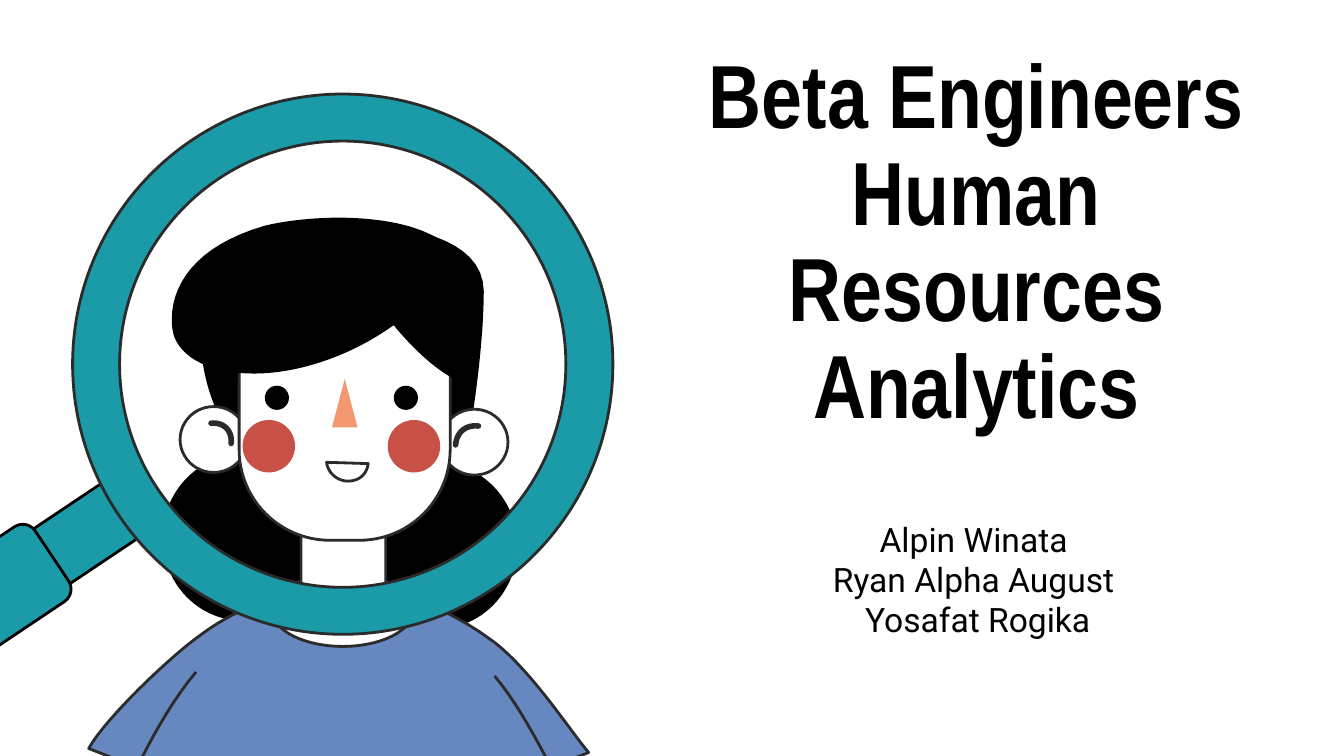
from dataclasses import dataclass

from pptx import Presentation
from pptx.dml.color import RGBColor
from pptx.enum.shapes import MSO_SHAPE
from pptx.enum.text import MSO_ANCHOR, PP_ALIGN
from pptx.oxml.ns import qn
from pptx.util import Inches, Pt

OVAL = MSO_SHAPE.OVAL
RECT = MSO_SHAPE.RECTANGLE
ROUNDED = MSO_SHAPE.ROUNDED_RECTANGLE
DONUT = MSO_SHAPE.DONUT
TRIANGLE = MSO_SHAPE.ISOSCELES_TRIANGLE
CENTER = PP_ALIGN.CENTER
TOP, BOTTOM = MSO_ANCHOR.TOP, MSO_ANCHOR.BOTTOM
CURVE_STEPS = 16


@dataclass(frozen=True)
class Theme:
    """Colours, fonts and sizes of the deck."""
    ink: str = "000000"
    outline: str = "2B2B2B"
    white: str = "FFFFFF"
    teal: str = "1B9BA8"
    shirt: str = "6687C0"
    nose: str = "F39871"
    cheek: str = "C75146"
    title_font: str = "Arial Narrow"
    body_font: str = "Roboto"
    title_size: float = 48
    body_size: float = 18
    stroke: float = 1.5
    ear_stroke: float = 3


THEME = Theme()


def paint(shape, fill=None, line=None, width=THEME.stroke):
    """Set fill and line, and drop the shadow."""
    shape.shadow.inherit = False
    if fill:
        shape.fill.solid()
        shape.fill.fore_color.rgb = RGBColor.from_string(fill)
    else:
        shape.fill.background()
    if line:
        shape.line.color.rgb = RGBColor.from_string(line)
        shape.line.width = Pt(width)
    else:
        shape.line.fill.background()
    return shape


def add_preset(page, kind, box, fill, line=None, adjust=None, rotation=0):
    """Add a painted preset shape in a box of inches."""
    shape = page.shapes.add_shape(kind, *map(Inches, box))
    if adjust is not None:
        shape.adjustments[0] = adjust
    shape.rotation = rotation
    return paint(shape, fill, line)


def add_disc(page, center, width, height, fill, line=None):
    """Add an ellipse around a centre."""
    x, y = center
    box = (x - width / 2, y - height / 2, width, height)
    return add_preset(page, OVAL, box, fill, line)


def trace(start, segments):
    """Turn line (2 numbers) and cubic curve (6 numbers) segments into points."""
    points = [start]
    for segment in segments:
        if len(segment) == 2:
            points.append(segment)
            continue
        x0, y0 = points[-1]
        x1, y1, x2, y2, x3, y3 = segment
        for step in range(1, CURVE_STEPS + 1):
            t = step / CURVE_STEPS
            u = 1 - t
            a, b, c, d = u ** 3, 3 * u * u * t, 3 * u * t * t, t ** 3
            points.append((a * x0 + b * x1 + c * x2 + d * x3,
                           a * y0 + b * y1 + c * y2 + d * y3))
    return points


def add_path(page, origin, start, segments, fill=None, line=None,
             width=THEME.stroke):
    """Add an outline, closed when it has a fill."""
    left, top = origin
    points = [(Inches(left + x), Inches(top + y))
              for x, y in trace(start, segments)]
    builder = page.shapes.build_freeform(*points[0])
    builder.add_line_segments(points[1:], close=bool(fill))
    return paint(builder.convert_to_shape(), fill, line, width)


def add_text(page, box, lines, font, size, anchor, bold=False, spacing=None):
    """Add centred paragraphs in a box of inches."""
    frame = page.shapes.add_textbox(*map(Inches, box)).text_frame
    frame.word_wrap = True
    frame.vertical_anchor = anchor
    frame.margin_left = frame.margin_right = Inches(0.1)
    frame.margin_top = frame.margin_bottom = Inches(0.1)
    for index, line in enumerate(lines):
        para = frame.add_paragraph() if index else frame.paragraphs[0]
        para.text = line
        para.alignment = CENTER
        para.line_spacing = spacing
        para.font.name = font
        para.font.size = Pt(size)
        para.font.bold = bold
        para.font.color.rgb = RGBColor.from_string(THEME.ink)


def draw_handle(page, left, top):
    """Draw the shaft and the grip of the magnifier."""
    add_preset(page, RECT, (left + 0.31, top + 3.67, 0.82, 0.49),
               THEME.teal, THEME.ink, rotation=326.2)
    add_preset(page, ROUNDED, (left - 0.56, top + 3.81, 0.67, 1.47),
               THEME.teal, THEME.ink, adjust=0.167, rotation=56.2)


def draw_body(page, left, top):
    """Draw the long hair, the shirt and the neck."""
    origin = (left, top)
    for x, y in ((3.25, 4.06), (1.81, 4)):
        add_disc(page, (left + x, top + y), 1.2, 1.24, THEME.ink)
    add_path(page, origin, (4.38, 5.6), [
        (4.23, 5.42, 3.96, 5, 3.68, 4.78), (3.09, 4.34, 2.56, 4.35, 2.56, 4.35),
        (2.16, 4.38, 1.78, 4.51, 1.5, 4.72), (1.27, 4.88, 0.78, 5.35, 0.66, 5.57),
        (0.97, 5.69), (4.14, 5.69)], THEME.shirt, THEME.outline)
    for start, crease in (((1.46, 5), (1.3, 5.19, 1.16, 5.43, 1.03, 5.69)),
                          ((3.68, 5.03), (3.83, 5.21, 3.96, 5.44, 4.09, 5.69))):
        add_path(page, origin, start, [crease], line=THEME.outline)
    add_disc(page, (left + 2.55, top + 4.54), 1.05, 0.54,
             THEME.white, THEME.outline)
    add_preset(page, ROUNDED, (left + 2.24, top + 3.72, 0.63, 0.86),
               THEME.white, THEME.outline, adjust=0.21)


def draw_head(page, left, top):
    """Draw the back hair, the ears, the face and the fringe."""
    origin = (left, top)
    add_path(page, origin, (2.42, 1.66), [
        (2.13, 1.66, 1.57, 1.72, 1.5, 2.33), (1.45, 2.8, 1.65, 3.13, 1.65, 3.13),
        (1.79, 3.38, 2.22, 3.45, 2.63, 3.45), (3.06, 3.45, 3.47, 3.37, 3.48, 3.33),
        (3.49, 3.26, 3.6, 2.63, 3.6, 2.17), (3.6, 1.75, 2.97, 1.67, 2.58, 1.66)],
        THEME.ink)
    ears = (((1.59, 3.27), (1.57, 3.15), (1.66, 3.14, 1.73, 3.2, 1.72, 3.3)),
            ((3.53, 3.29), (3.56, 3.17), (3.47, 3.16, 3.4, 3.21, 3.39, 3.31)))
    for (x, y), start, fold in ears:
        add_disc(page, (left + x, top + y), 0.5, 0.49,
                 THEME.white, THEME.outline)
        mark = add_path(page, origin, start, [fold], line=THEME.outline,
                        width=THEME.ear_stroke)
        mark.element.spPr.find(qn("a:ln")).set("cap", "rnd")
    add_preset(page, ROUNDED, (left + 1.78, top + 1.94, 1.57, 2.08),
               THEME.white, THEME.outline, adjust=0.43)
    add_preset(page, TRIANGLE, (left + 2.47, top + 2.82, 0.19, 0.36), THEME.nose)
    for x in (2, 3.08):
        add_disc(page, (left + x, top + 3.32), 0.39, 0.39, THEME.cheek)
    add_path(page, origin, (2.43, 3.44), [
        (2.44, 3.52, 2.51, 3.58, 2.59, 3.58), (2.67, 3.58, 2.73, 3.53, 2.74, 3.45)],
        THEME.white, THEME.outline)
    for x in (2.06, 3.02):
        add_disc(page, (left + x, top + 2.96), 0.18, 0.18, THEME.ink)
    add_path(page, origin, (2.52, 1.62), [
        (2.3, 1.62, 2.09, 1.65, 1.97, 1.68), (1.45, 1.83, 1.26, 2.13, 1.28, 2.42),
        (1.29, 2.64, 1.54, 2.78, 1.89, 2.78), (2.19, 2.78, 2.58, 2.67, 2.93, 2.42),
        (2.93, 2.42, 3.22, 2.79, 3.48, 2.86), (3.48, 2.86, 3.64, 2.07, 3.31, 1.81),
        (3.13, 1.67, 2.81, 1.62, 2.52, 1.62)], THEME.ink)


def draw_illustration(page, left, top):
    """Draw a person seen through a magnifier."""
    draw_handle(page, left, top)
    draw_body(page, left, top)
    draw_head(page, left, top)
    add_preset(page, DONUT, (left + 0.54, top + 0.7, 4.02, 4.02),
               THEME.teal, THEME.outline, adjust=0.087)


def draw_heading(page, left, top):
    """Write the title and the authors."""
    add_text(page, (left, top, 4.89, 2.46),
             ["Beta Engineers\vHuman Resources Analytics"],
             THEME.title_font, THEME.title_size, BOTTOM, bold=True, spacing=0.9)
    add_text(page, (left + 0.23, top + 2.86, 4.45, 1.05),
             ["Alpin Winata ", "Ryan Alpha August ", "Yosafat Rogika"],
             THEME.body_font, THEME.body_size, TOP)


def main():
    """Build and save the deck."""
    deck = Presentation()
    deck.slide_width = Inches(10)
    deck.slide_height = Inches(10 * 9 / 16)
    page = deck.slides.add_slide(deck.slide_layouts[6])
    draw_heading(page, 4.82, 0.9)
    draw_illustration(page, 0, 0)
    deck.save("out.pptx")


if __name__ == "__main__":
    main()
